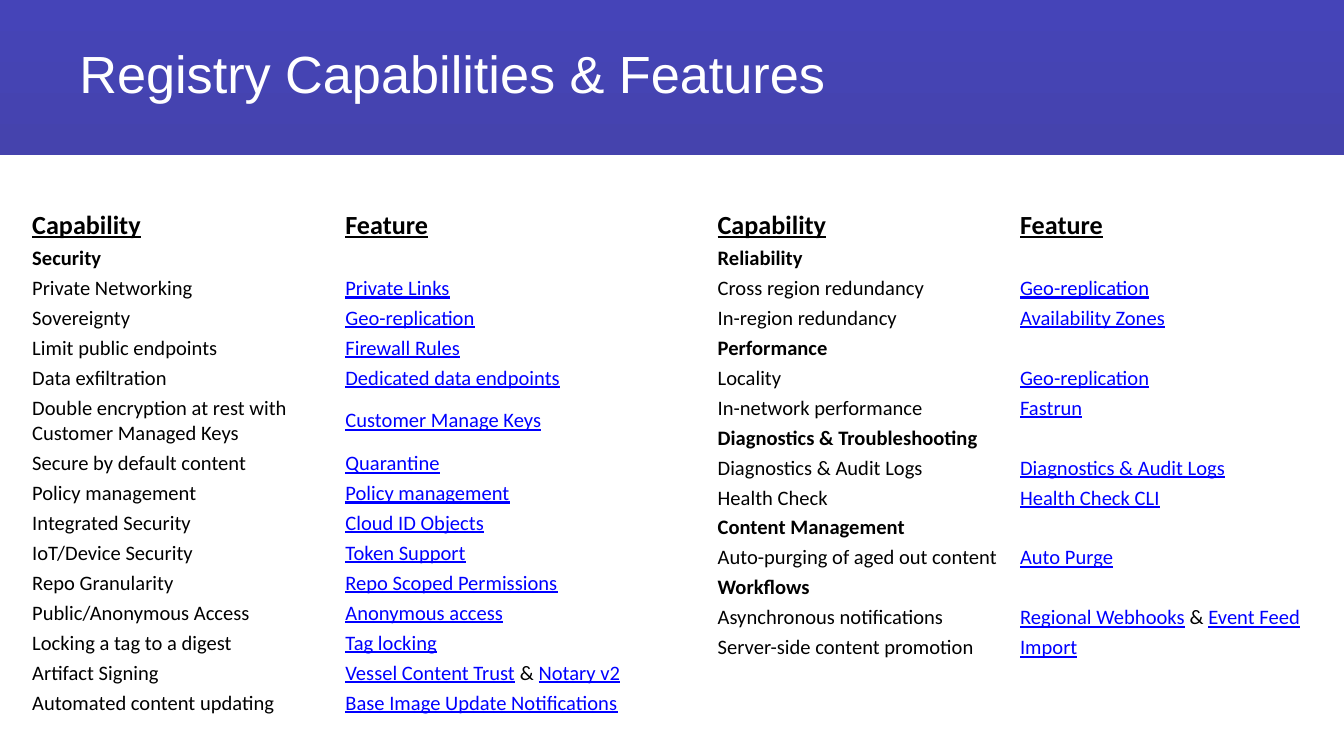
import pptx
import pptx.util
import pptx.dml.color
import pptx.enum.text
import pptx.enum.shapes
import pptx.oxml.ns
from dataclasses import dataclass
from lxml import etree
from pptx.util import Inches


@dataclass(frozen=True)
class Theme:
    """Colours, fonts and type sizes of the slide."""
    white: str = "FFFFFF"
    ink: str = "000000"
    link: str = "0000FF"
    low: str = "4543AD"
    high: str = "4544B8"
    head: str = "Arial"
    body: str = "Calibri"
    title: int = 28
    label: int = 14
    text: int = 11


THEME = Theme()

SECURE = [
    ("Security",),
    ("Private Networking", "Private Links"),
    ("Sovereignty", "Geo-replication"),
    ("Limit public endpoints", "Firewall Rules"),
    ("Data exfiltration", "Dedicated data endpoints"),
    ("Double encryption at rest with Customer Managed Keys", "Customer Manage Keys"),
    ("Secure by default content", "Quarantine"),
    ("Policy management", "Policy management"),
    ("Integrated Security", "Cloud ID Objects"),
    ("IoT/Device Security", "Token Support"),
    ("Repo Granularity", "Repo Scoped Permissions"),
    ("Public/Anonymous Access", "Anonymous access"),
    ("Locking a tag to a digest", "Tag locking"),
    ("Artifact Signing", "Vessel Content Trust", "Notary v2"),
    ("Automated content updating", "Base Image Update Notifications"),
]

OTHERS = [
    ("Reliability",),
    ("Cross region redundancy", "Geo-replication"),
    ("In-region redundancy", "Availability Zones"),
    ("Performance",),
    ("Locality", "Geo-replication"),
    ("In-network performance", "Fastrun"),
    ("Diagnostics & Troubleshooting",),
    ("Diagnostics & Audit Logs", "Diagnostics & Audit Logs"),
    ("Health Check", "Health Check CLI"),
    ("Content Management",),
    ("Auto-purging of aged out content", "Auto Purge"),
    ("Workflows",),
    ("Asynchronous notifications", "Regional Webhooks", "Event Feed"),
    ("Server-side content promotion", "Import"),
]


def color(code):
    """Turn a hex code into a colour."""
    return pptx.dml.color.RGBColor.from_string(code)


def style(run, size, tint, face=THEME.body, bold=False, under=False):
    """Format one run."""
    font = run.font
    font.name, font.size = face, pptx.util.Pt(size)
    font.bold, font.underline = bold, under
    font.color.rgb = color(tint)


def add_band(slide):
    """Put the gradient band behind the title."""
    band = slide.shapes.add_shape(
        pptx.enum.shapes.MSO_SHAPE.RECTANGLE, 0, 0, Inches(10), Inches(1.15))
    band.shadow.inherit = False
    band.line.fill.background()
    band.fill.gradient()
    band.fill.gradient_angle = 90
    for stop, tint in zip(band.fill.gradient_stops, (THEME.low, THEME.high)):
        stop.color.rgb = color(tint)
    slide.shapes._spTree.insert(2, band._element)


def set_title(slide, text):
    """Place and format the title."""
    title = slide.shapes.title
    title.left, title.top = Inches(0.49), Inches(0.26)
    title.width, title.height = Inches(8.04), Inches(0.79)
    frame = title.text_frame
    frame.text = text
    frame.margin_top = Inches(0.05)
    frame.vertical_anchor = pptx.enum.text.MSO_ANCHOR.TOP
    par = frame.paragraphs[0]
    par.alignment = pptx.enum.text.PP_ALIGN.LEFT
    style(par.runs[0], THEME.title, THEME.white, THEME.head)


def set_cell(cell):
    """Set the fill and margins of a cell and return its paragraph."""
    cell.fill.solid()
    cell.fill.fore_color.rgb = color(THEME.white)
    cell.margin_left = cell.margin_right = Inches(0.04)
    cell.margin_top = cell.margin_bottom = pptx.util.Pt(1.23)
    cell.vertical_anchor = pptx.enum.text.MSO_ANCHOR.MIDDLE
    return cell.text_frame.paragraphs[0]


def add_run(par, text, **look):
    """Add one formatted run of body text."""
    run = par.add_run()
    run.text = text
    style(run, THEME.text, **look)


def fill_links(par, links):
    """Write the features of one row, joined by ampersands."""
    for spot, link in enumerate(links):
        if spot:
            add_run(par, " & ", tint=THEME.ink)
        add_run(par, link, tint=THEME.link, under=True)
    if not links:
        etree.SubElement(par._p, pptx.oxml.ns.qn("a:endParaRPr"), sz=str(THEME.text * 100))


def add_grid(slide, left, width, items):
    """Add a table of capabilities and their features."""
    frame = slide.shapes.add_table(
        len(items) + 1, 2, Inches(left), Inches(1.54), Inches(width),
        Inches(0.12 * (len(items) + 1)))
    table = frame.table
    table.first_row = table.horz_banding = False
    for row in table.rows:
        row.height = Inches(0.12)
    for cell, name in zip(table.rows[0].cells, ("Capability", "Feature")):
        par = set_cell(cell)
        par.text = name
        style(par.runs[0], THEME.label, THEME.ink, bold=True, under=True)
    for spot, (name, *links) in enumerate(items, 1):
        add_run(set_cell(table.cell(spot, 0)), name, tint=THEME.ink, bold=not links)
        fill_links(set_cell(table.cell(spot, 1)), links)


def main():
    """Build the slide and save it."""
    deck = pptx.Presentation()
    deck.slide_width, deck.slide_height = Inches(10), Inches(10 * 9 / 16)
    slide = deck.slides.add_slide(deck.slide_layouts[5])
    add_band(slide)
    set_title(slide, "Registry Capabilities & Features")
    add_grid(slide, 0.2, 4.66, SECURE)
    add_grid(slide, 5.3, 4.5, OTHERS)
    deck.save("out.pptx")


if __name__ == "__main__":
    main()
